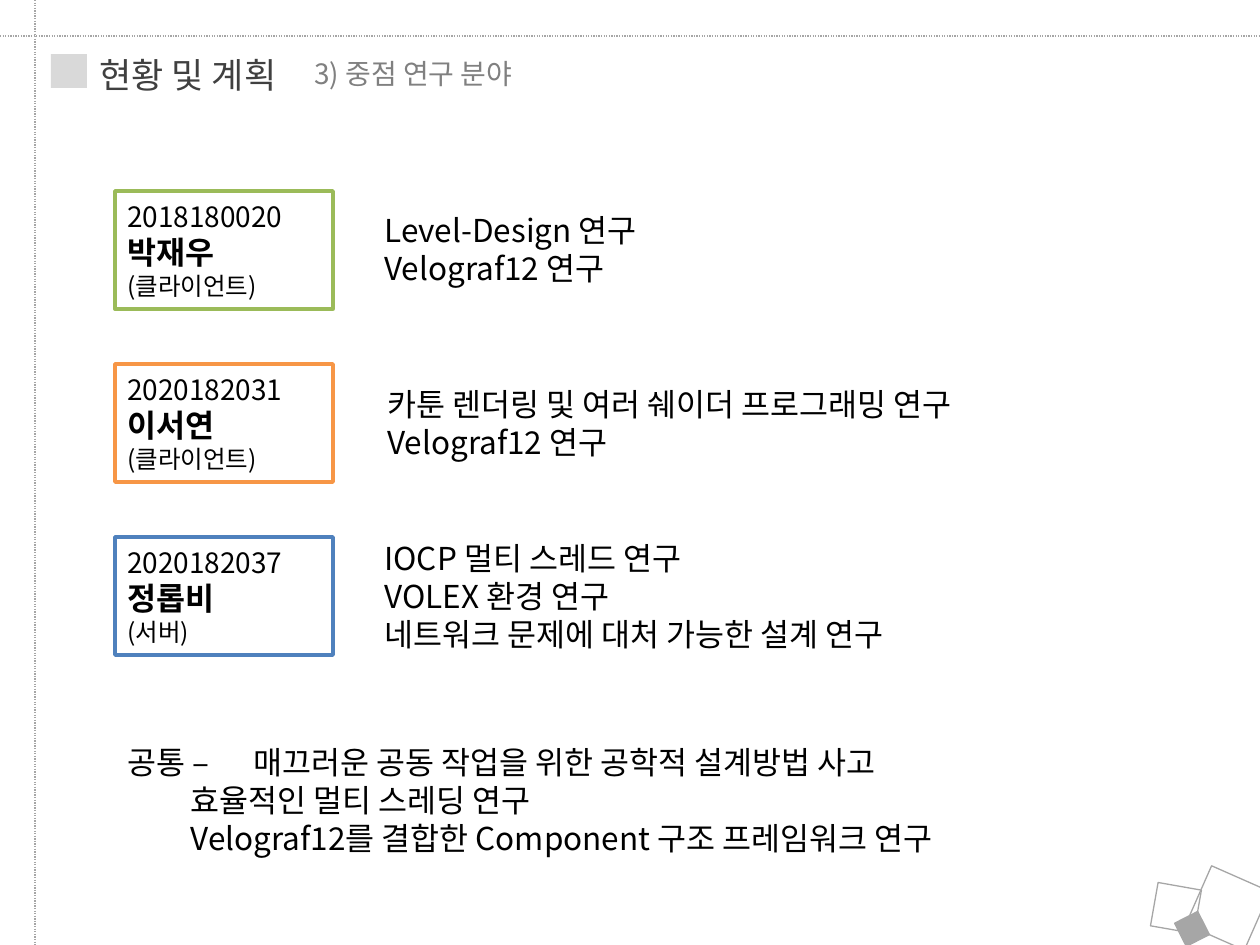
from pptx import Presentation
from pptx.dml.color import RGBColor
from pptx.enum.dml import MSO_LINE_DASH_STYLE as Dash
from pptx.enum.shapes import MSO_CONNECTOR, MSO_SHAPE
from pptx.enum.text import MSO_ANCHOR, MSO_AUTO_SIZE, PP_ALIGN
from pptx.oxml.ns import qn
from pptx.util import Pt

PX = 914400 // 126
WIDTH, HEIGHT = 1260, 945
FONT = "Noto Sans CJK KR"

BLACK = RGBColor(0x00, 0x00, 0x00)
WHITE = RGBColor(0xFF, 0xFF, 0xFF)
DARK = RGBColor(0x40, 0x40, 0x40)
MID = RGBColor(0x80, 0x80, 0x80)
GRAY = RGBColor(0xA6, 0xA6, 0xA6)
LIGHT = RGBColor(0xD9, 0xD9, 0xD9)
GREEN = RGBColor(0x9B, 0xBB, 0x59)
ORANGE = RGBColor(0xF7, 0x96, 0x46)
BLUE = RGBColor(0x4F, 0x81, 0xBD)

FIRST_CARD, CARD_STEP = 191, 173
# card colour, (student number, name, role), list left, list top, research topics
MEMBERS = [
    (GREEN, ("2018180020", "박재우", "(클라이언트)"), 372, 205,
     ["Level-Design 연구", "Velograf12 연구"]),
    (ORANGE, ("2020182031", "이서연", "(클라이언트)"), 375, 379,
     ["카툰 렌더링 및 여러 쉐이더 프로그래밍 연구", "Velograf12 연구"]),
    (BLUE, ("2020182037", "정롭비", "(서버)"), 372, 533,
     ["IOCP 멀티 스레드 연구", "VOLEX 환경 연구", "네트워크 문제에 대처 가능한 설계 연구"]),
]
COMMON = [
    "공통 – \t매끄러운 공동 작업을 위한 공학적 설계방법 사고",
    "\t효율적인 멀티 스레딩 연구",
    "\tVelograf12를 결합한 Component 구조 프레임워크 연구",
]


def scale(*lengths):
    return [length * PX for length in lengths]


def add_line(para, text, size=18, color=BLACK, bold=False):
    """Fill one paragraph with one left-aligned, unbulleted run."""
    para.alignment = PP_ALIGN.LEFT
    para.space_before = Pt(0)
    properties = para._p.get_or_add_pPr()
    properties.set("marL", "0")
    properties.set("indent", "0")
    properties.append(properties.makeelement(qn("a:buNone"), {}))
    span = para.add_run()
    span.text = text
    span.font.name = FONT
    span.font.size = Pt(size)
    span.font.bold = bold
    span.font.color.rgb = color
    east_asian = span._r.rPr.makeelement(qn("a:ea"), {"typeface": FONT})
    span._r.rPr.find(qn("a:latin")).addnext(east_asian)


def write(shape, lines, anchor=MSO_ANCHOR.TOP, **style):
    """Write lines, each a text or a (text, style) pair, into a shape."""
    frame = shape.text_frame
    frame.word_wrap = True
    frame.auto_size = MSO_AUTO_SIZE.NONE
    frame.vertical_anchor = anchor
    for index, line in enumerate(lines):
        text, own_style = (line, {}) if isinstance(line, str) else line
        para = frame.add_paragraph() if index else frame.paragraphs[0]
        add_line(para, text, **{**style, **own_style})


def add_text(page, place, lines, **style):
    write(page.shapes.add_textbox(*scale(*place)), lines, **style)


def fill_placeholder(holder, place, lines, **style):
    holder.left, holder.top, holder.width, holder.height = scale(*place)
    write(holder, lines, **style)


def add_box(shapes, place, fill=None, line=None, weight=0.75, rotation=0):
    box = shapes.add_shape(MSO_SHAPE.RECTANGLE, *scale(*place))
    box.shadow.inherit = False
    box.rotation = rotation
    if fill is None:
        box.fill.background()
    else:
        box.fill.solid()
        box.fill.fore_color.rgb = fill
    if line is None:
        box.line.fill.background()
    else:
        box.line.color.rgb = line
        box.line.width = Pt(weight)
    return box


def add_dotted_line(page, *ends):
    rule = page.shapes.add_connector(MSO_CONNECTOR.STRAIGHT, *scale(*ends))
    rule.line.color.rgb = GRAY
    rule.line.width = Pt(0.75)
    rule.line.dash_style = Dash.ROUND_DOT
    properties = rule._element.spPr
    properties.append(properties.makeelement(qn("a:effectLst"), {}))


def add_corner_squares(page):
    group = page.shapes.add_group_shape()
    for left, top, side, rotation, fill in [
        (1154, 886, 44, 10, None),
        (1196, 876, 64, 23.8, None),
        (1179, 916, 26, 63.1, GRAY),
    ]:
        add_box(group.shapes, (left, top, side, side), fill, GRAY, rotation=rotation)


def add_member(page, row, color, labels, list_left, list_top, topics):
    """Draw a member card with the research topics beside it."""
    number, name, role = labels
    top = FIRST_CARD + row * CARD_STEP
    card = add_box(page.shapes, (115, top, 218, 118), WHITE, color, 2)
    write(card, [(number, {"size": 16}), (name, {"bold": True}), (role, {"size": 14})],
          anchor=MSO_ANCHOR.MIDDLE)
    add_text(page, (list_left, list_top, 849, 14 + 38 * len(topics)), topics)


def main():
    deck = Presentation()
    deck.slide_width, deck.slide_height = scale(WIDTH, HEIGHT)
    page = deck.slides.add_slide(deck.slide_layouts[1])

    add_box(page.shapes, (51, 54, 36, 34), LIGHT)
    fill_placeholder(page.shapes.title, (87, 47, 244, 55), ["현황 및 계획"],
                     size=20, color=DARK)
    add_text(page, (302, 50, 307, 47), ["3) 중점 연구 분야"], size=16, color=MID)
    add_dotted_line(page, 35, 0, 35, HEIGHT)
    add_dotted_line(page, 0, 36, WIDTH, 36)
    add_corner_squares(page)

    for row, member in enumerate(MEMBERS):
        add_member(page, row, *member)
    fill_placeholder(page.placeholders[1], (115, 737, 976, 127), COMMON)

    deck.save("out.pptx")


if __name__ == "__main__":
    main()
